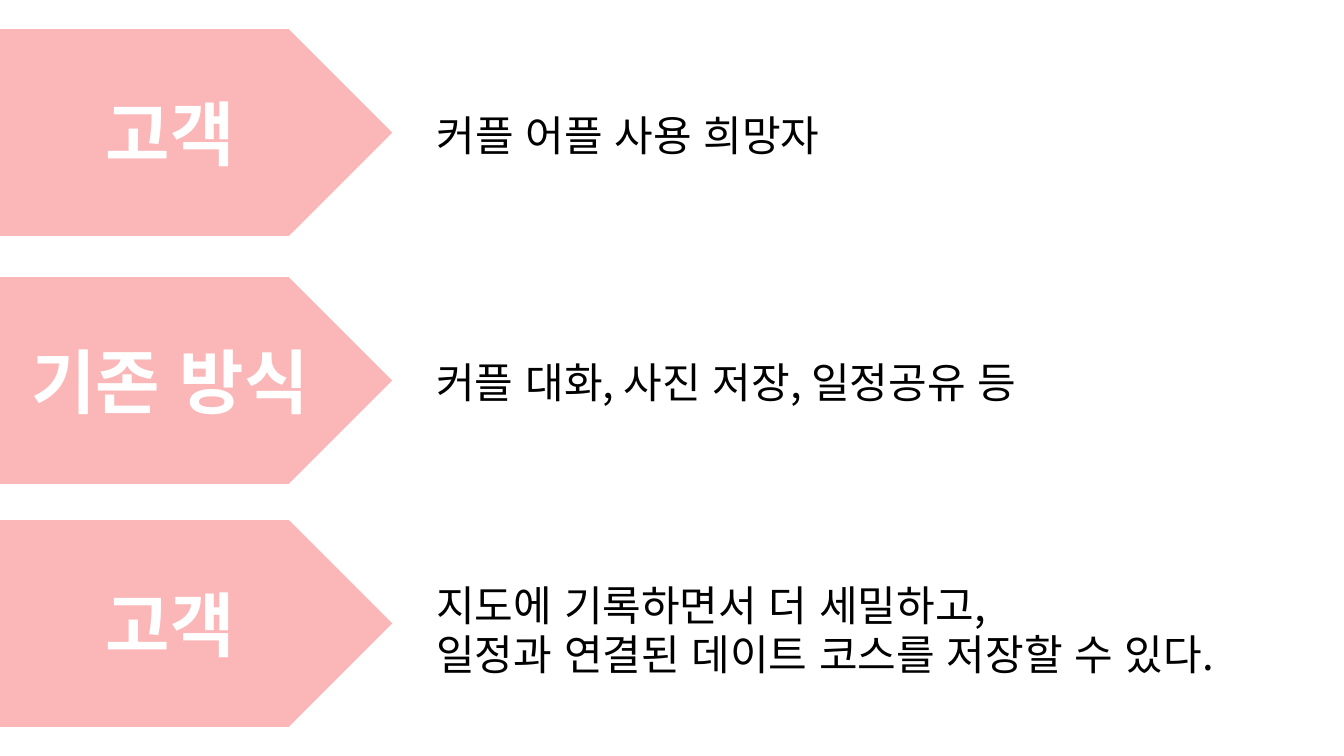
import pptx
import pptx.dml.color
import pptx.enum.lang
import pptx.enum.shapes
import pptx.enum.text
import pptx.oxml
import pptx.util

Inches = pptx.util.Inches
Pt = pptx.util.Pt
FONT = "Noto Sans CJK KR"
KOREAN = pptx.enum.lang.MSO_LANGUAGE_ID.KOREAN
LABEL_FORMAT = {"name": FONT, "size": Pt(50), "bold": True, "language_id": KOREAN}
BODY_FORMAT = {"name": FONT, "size": Pt(30), "bold": False, "language_id": KOREAN}
ARROW_WIDTH, ARROW_HEIGHT = 3.89, 2.05
BODY_LEFT, BODY_HEIGHT = 4.23, 0.84

ROWS = [
    ("고객", 0.29, 0.8, 5.82, ["커플 어플 사용 희망자"]),
    ("기존 방식", 2.75, 0.79, 8.14, ["커플 대화, 사진 저장, 일정공유 등"]),
    ("고객", 5.16, 0.6, 8.96,
     ["지도에 기록하면서 더 세밀하고,", "일정과 연결된 데이트 코스를 저장할 수 있다."]),
]


def color(value):
    """Return the colour for a hex string."""
    return pptx.dml.color.RGBColor.from_string(value)


def apply_format(paragraph, values, font_color):
    """Set the font of a paragraph and its runs, East Asian face included."""
    for run in paragraph.runs:
        for name, value in values.items():
            setattr(run.font, name, value)
        run.font.color.rgb = color(font_color)
        east_asian = pptx.oxml.parse_xml(
            '<a:ea xmlns:a="http://schemas.openxmlformats.org/drawingml/2006/main" '
            f'typeface="{values["name"]}"/>')
        run.font._element.find(pptx.oxml.ns.qn("a:latin")).addnext(east_asian)


def add_label(slide, text, top):
    """Draw the pink arrow that names a row."""
    shape = slide.shapes.add_shape(
        pptx.enum.shapes.MSO_SHAPE.PENTAGON, 0, Inches(top),
        Inches(ARROW_WIDTH), Inches(ARROW_HEIGHT))
    shape.shadow.inherit = False
    shape.fill.solid()
    shape.fill.fore_color.rgb = color("FBB7B7")
    shape.line.fill.background()
    frame = shape.text_frame
    frame.vertical_anchor = pptx.enum.text.MSO_ANCHOR.MIDDLE
    paragraph = frame.paragraphs[0]
    paragraph.text = text
    paragraph.alignment = pptx.enum.text.PP_ALIGN.CENTER
    apply_format(paragraph, LABEL_FORMAT, "FFFFFF")


def fill_body(shape, lines, top, width):
    """Place a body box and write its lines without bullets."""
    shape.left, shape.top = Inches(BODY_LEFT), Inches(top)
    shape.width, shape.height = Inches(width), Inches(BODY_HEIGHT)
    frame = shape.text_frame
    frame.word_wrap = True
    frame.auto_size = pptx.enum.text.MSO_AUTO_SIZE.NONE
    frame.text = "\n".join(lines)
    for index, paragraph in enumerate(frame.paragraphs):
        properties = paragraph._p.get_or_add_pPr()
        properties.set("marL", "0")
        properties.set("indent", "0")
        properties.append(pptx.oxml.parse_xml(
            '<a:buNone xmlns:a="http://schemas.openxmlformats.org/drawingml/2006/main"/>'))
        paragraph.line_spacing = 0.9
        paragraph.space_before = Pt(2.5 if index else 0)
        apply_format(paragraph, BODY_FORMAT, "000000")


def add_row(slide, row, body=None):
    """Add one row: its arrow and the text beside it."""
    label, top, offset, width, lines = row
    if body is None:
        body = slide.shapes.add_textbox(0, 0, 0, 0)
    fill_body(body, lines, top + offset, width)
    add_label(slide, label, top)


def main():
    """Build the slide and save it."""
    presentation = pptx.Presentation()
    presentation.slide_width = Inches(13.33)
    presentation.slide_height = Inches(7.5)
    slide = presentation.slides.add_slide(presentation.slide_layouts[1])
    title, body = slide.placeholders
    title._element.getparent().remove(title._element)
    for index, row in enumerate(ROWS):
        add_row(slide, row, None if index else body)
    presentation.save("out.pptx")


if __name__ == "__main__":
    main()
